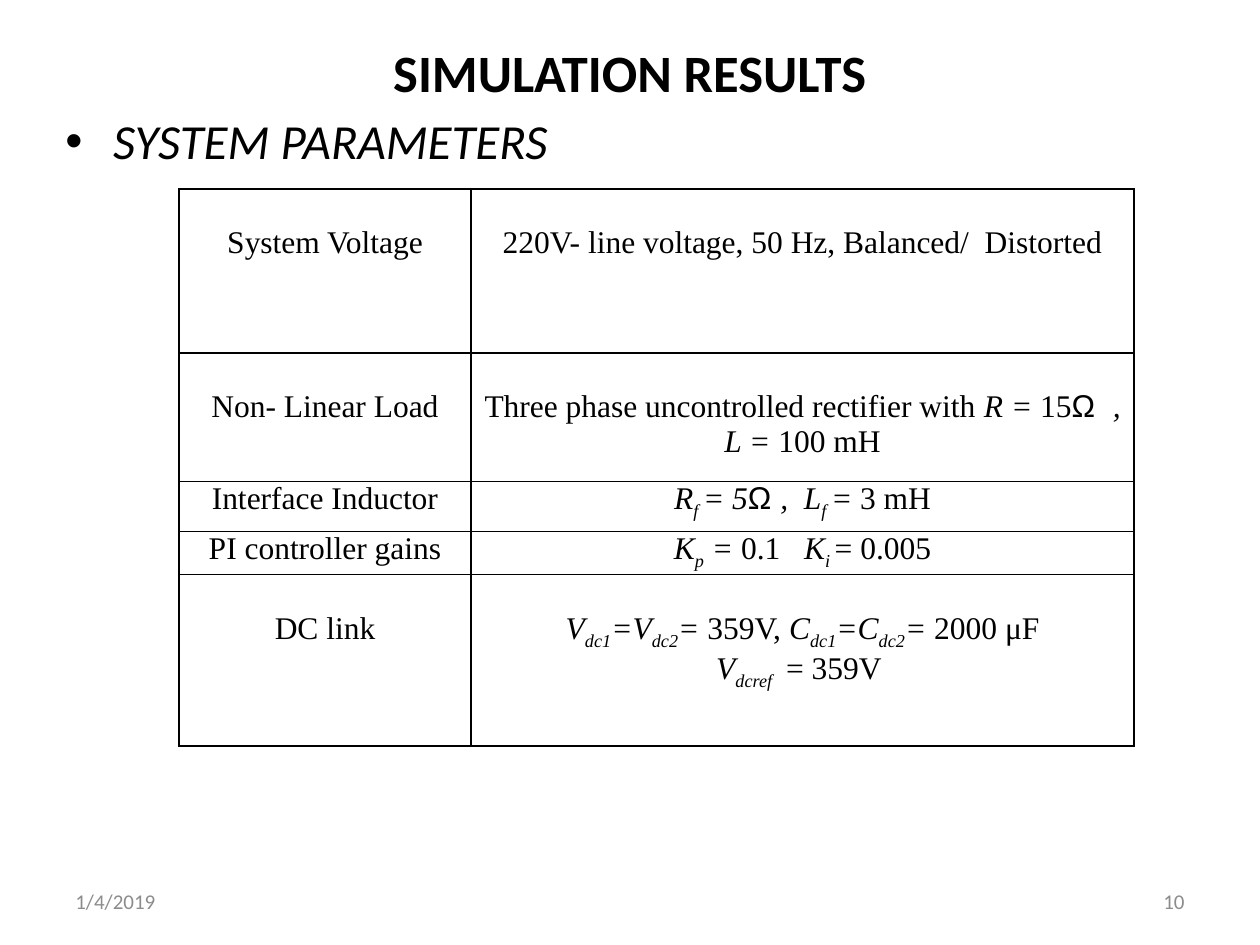
from lxml import etree
from pptx import Presentation
from pptx.dml.color import RGBColor
from pptx.enum.text import MSO_ANCHOR, MSO_AUTO_SIZE, PP_ALIGN
from pptx.oxml.ns import qn
from pptx.util import Inches, Pt

LEFT, CENTER, RIGHT = PP_ALIGN.LEFT, PP_ALIGN.CENTER, PP_ALIGN.RIGHT
TOP, MIDDLE = MSO_ANCHOR.TOP, MSO_ANCHOR.MIDDLE
NO_FIT = MSO_AUTO_SIZE.NONE

THEME = {
    "ink": "000000", "muted": "8C8C8C",
    "head": "Calibri", "table": "Times New Roman", "symbol": "Arial",
    "title": 30, "bullet": 28, "cell": 18, "footer": 12,
}

N, I, SUB, SYM = "normal", "italic", "subscript", "symbol"

TITLE = "SIMULATION RESULTS"
BULLET = "SYSTEM PARAMETERS"
FOOTERS = [("1/4/2019", 0.5, LEFT), ("10", 7.17, RIGHT)]

COLS = [2.32, 5.26]
ROWS = [
    (1.3, 0.29, "System Voltage",
     [[("220V- line voltage, 50 Hz, Balanced/  Distorted", N)]]),
    (1.02, 0.29, "Non- Linear Load",
     [[("Three phase uncontrolled rectifier with ", N), ("R = ", I), ("15", N),
       ("Ω  ", SYM), (", L = ", I), ("100 mH", N)]]),
    (0.4, 0, "Interface Inductor",
     [[("R", I), ("f ", SUB), ("= 5", I), ("Ω ", SYM), (",  L", I),
       ("f ", SUB), ("= ", I), ("3 mH", N)]]),
    (0.34, 0, "PI controller gains",
     [[("K", I), ("p", SUB), (" = ", I), ("0.1   ", N), ("K", I),
       ("i ", SUB), ("= 0.005", N)]]),
    (1.36, 0.29, "DC link",
     [[("V", I), ("dc1", SUB), ("=V", I), ("dc2", SUB), ("= ", I),
       ("359V, ", N), ("C", I), ("dc1", SUB), ("=C", I), ("dc2", SUB),
       ("= ", I), ("2000 μF", N)],
      [("V", I), ("dcref   ", SUB), ("= 359V ", N)]]),
]


def write(tf, paras, size, font=THEME["head"], color=THEME["ink"],
          align=LEFT, bold=False):
    if isinstance(paras, str):
        paras = [[(paras, N)]]
    tf.word_wrap = True
    for n, runs in enumerate(paras):
        p = tf.add_paragraph() if n else tf.paragraphs[0]
        p.alignment = align
        for text, style in runs:
            r = p.add_run()
            r.text = text
            r.font.name = THEME["symbol"] if style == SYM else font
            r.font.size = Pt(size)
            r.font.bold = bold
            r.font.italic = style in (I, SUB)
            r.font.color.rgb = RGBColor.from_string(color)
            if style == SUB:
                r._r.get_or_add_rPr().set("baseline", "-25000")


def add_bullet(p, indent):
    pPr = p._p.get_or_add_pPr()
    pPr.set("marL", str(Inches(indent)))
    pPr.set("indent", str(-Inches(indent)))
    etree.SubElement(pPr, qn("a:buFont")).set("typeface", "Arial")
    etree.SubElement(pPr, qn("a:buChar")).set("char", "•")


def add_borders(cell):
    tcPr = cell._tc.get_or_add_tcPr()
    for n, side in enumerate(("lnL", "lnR", "lnT", "lnB")):
        ln = etree.Element(qn("a:" + side), w=str(Pt(1)))
        fill = etree.SubElement(ln, qn("a:solidFill"))
        etree.SubElement(fill, qn("a:srgbClr")).set("val", THEME["ink"])
        tcPr.insert(n, ln)


def add_text(s, left, top, width, height, anchor=TOP):
    tf = s.shapes.add_textbox(*map(Inches, (left, top, width, height))).text_frame
    tf.vertical_anchor = anchor
    return tf


def add_title(s):
    sp = s.shapes.title
    sp.left, sp.top, sp.width, sp.height = map(Inches, (0.5, 0.3, 9, 1.03))
    tf = sp.text_frame
    tf.auto_size = NO_FIT
    tf.vertical_anchor = MIDDLE
    tf.margin_bottom = Inches(0.55)
    write(tf, TITLE, THEME["title"], align=CENTER, bold=True)


def add_parameters(s):
    heights = [row[0] for row in ROWS]
    frame = s.shapes.add_table(
        len(ROWS), len(COLS),
        *map(Inches, (1.42, 1.5, sum(COLS), sum(heights))))
    table = frame.table
    table.first_row = table.horz_banding = False
    for col, width in zip(table.columns, COLS):
        col.width = Inches(width)
    for row, (height, top, label, value) in zip(table.rows, ROWS):
        row.height = Inches(height)
        for cell, paras in zip(row.cells, (label, value)):
            cell.margin_left = cell.margin_right = Inches(0.07)
            cell.margin_top, cell.margin_bottom = Inches(top), 0
            cell.fill.background()
            add_borders(cell)
            write(cell.text_frame, paras, THEME["cell"],
                  font=THEME["table"], align=CENTER)


def main():
    prs = Presentation()
    prs.slide_width, prs.slide_height = Inches(10), Inches(7.5)
    s = prs.slides.add_slide(prs.slide_layouts[5])
    add_title(s)
    tf = add_text(s, 0.42, 0.83, 9, 0.58)
    write(tf, [[(BULLET, I)]], THEME["bullet"])
    tf.paragraphs[0].space_before = Pt(5.6)
    add_bullet(tf.paragraphs[0], 0.38)
    add_parameters(s)
    for text, left, align in FOOTERS:
        tf = add_text(s, left, 6.95, 2.33, 0.4, MIDDLE)
        write(tf, text, THEME["footer"], color=THEME["muted"], align=align)
    prs.save("out.pptx")


if __name__ == "__main__":
    main()
